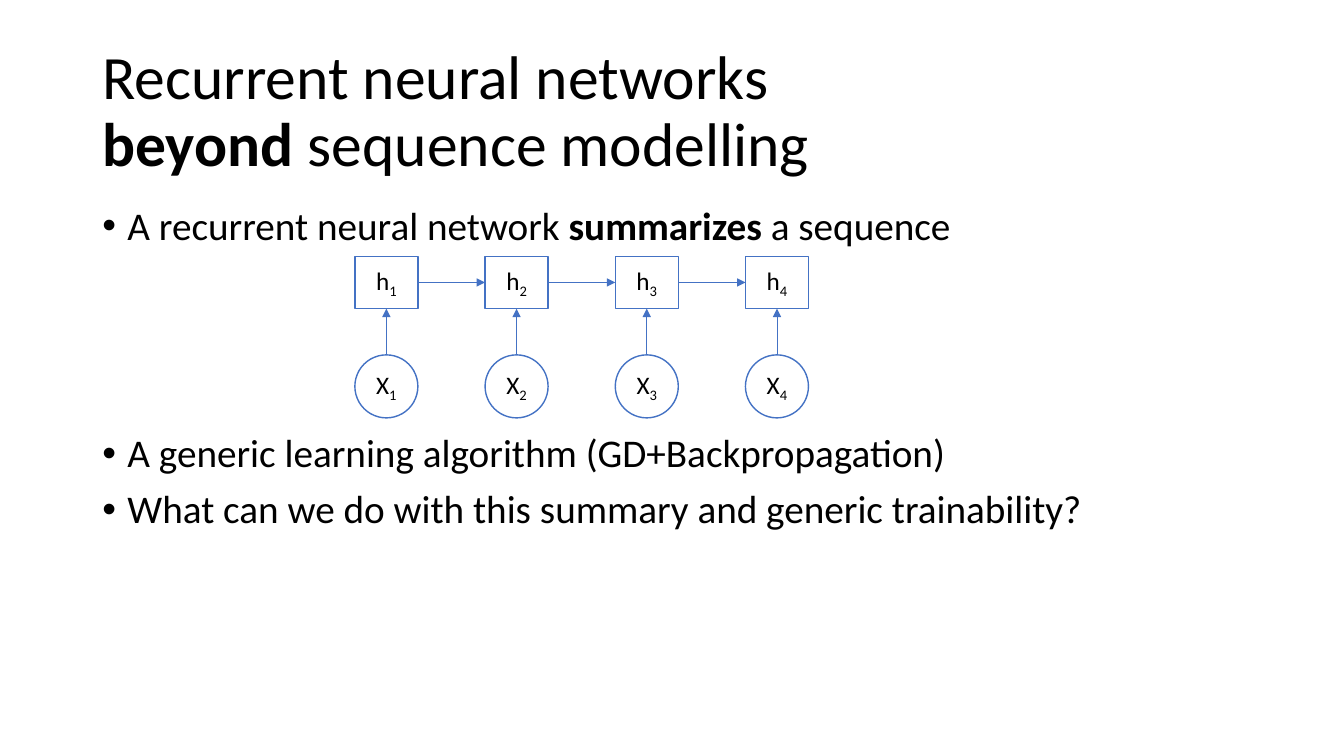
from dataclasses import dataclass

from lxml import etree
from pptx import Presentation
from pptx.dml.color import RGBColor
from pptx.enum.shapes import MSO_CONNECTOR, MSO_SHAPE
from pptx.enum.text import MSO_ANCHOR, MSO_AUTO_SIZE, PP_ALIGN
from pptx.oxml.ns import qn
from pptx.util import Pt

EMU_PER_PX = 9525
FONT = "Calibri"
COLORS = {"text": "000000", "fill": "FFFFFF", "line": "4472C4"}

RECTANGLE, ELLIPSE = MSO_SHAPE.RECTANGLE, MSO_SHAPE.OVAL
STRAIGHT = MSO_CONNECTOR.STRAIGHT
LEFT, CENTER = PP_ALIGN.LEFT, PP_ALIGN.CENTER
TOP, MIDDLE = MSO_ANCHOR.TOP, MSO_ANCHOR.MIDDLE
NO_AUTOFIT = MSO_AUTO_SIZE.NONE

TOP_SITE, LEFT_SITE, BOTTOM_SITE = 0, 1, 2
RIGHT_SITE = 3

STEPS = 4
FIRST_X, STEP_PITCH, NODE_WIDTH = 338, 124, 60


@dataclass(frozen=True)
class NodeRow:
    letter: str
    kind: int
    top: int
    height: int


@dataclass(frozen=True)
class Bullet:
    runs: tuple[tuple[str, bool], ...]
    space_before: int


INPUTS = NodeRow("X", ELLIPSE, 338, 60)
STATES = NodeRow("h", RECTANGLE, 244, 50)

TITLE_LINES = (
    (("Recurrent neural networks ", False),),
    (("beyond", True), (" sequence modelling", False)),
)
BULLETS = (
    Bullet((("A recurrent neural network ", False), ("summarizes", True),
            (" a sequence", False)), 0),
    # The wide gap leaves room for the network diagram.
    Bullet((("A generic learning algorithm (GD+Backpropagation)", False),), 132),
    Bullet((("What can we do with this summary and generic trainability?", False),), 10),
)


def px(value: int) -> int:
    return value * EMU_PER_PX


def color(name: str) -> RGBColor:
    return RGBColor.from_string(COLORS[name])


def place(shape, left: int, top: int, width: int, height: int) -> None:
    shape.left, shape.top = px(left), px(top)
    shape.width, shape.height = px(width), px(height)


def add_run(paragraph, text: str, size: int, bold: bool = False):
    run = paragraph.add_run()
    run.text = text
    run.font.name = FONT
    run.font.size = Pt(size)
    run.font.bold = bold
    run.font.color.rgb = color("text")
    return run


def add_title(slide) -> None:
    title = slide.shapes.title
    place(title, 88, 38, 1104, 139)
    frame = title.text_frame
    frame.auto_size = NO_AUTOFIT
    frame.vertical_anchor = MIDDLE
    paragraph = frame.paragraphs[0]
    paragraph.alignment = LEFT
    paragraph.line_spacing = 0.9
    for index, line in enumerate(TITLE_LINES):
        if index:
            paragraph.add_line_break()
        for text, bold in line:
            add_run(paragraph, text, 44, bold)


def add_bullets(slide) -> None:
    box = slide.shapes.add_textbox(px(88), px(192), px(1104), px(457))
    frame = box.text_frame
    frame.word_wrap = True
    frame.vertical_anchor = TOP
    for index, bullet in enumerate(BULLETS):
        paragraph = frame.add_paragraph() if index else frame.paragraphs[0]
        paragraph.line_spacing = 0.9
        paragraph.space_before = Pt(bullet.space_before)
        properties = paragraph._p.get_or_add_pPr()
        properties.set("marL", str(px(24)))
        properties.set("indent", str(-px(24)))
        etree.SubElement(properties, qn("a:buFont")).set("typeface", "Arial")
        etree.SubElement(properties, qn("a:buChar")).set("char", "•")
        for text, bold in bullet.runs:
            add_run(paragraph, text, 28, bold)


def add_node(slide, row: NodeRow, step: int):
    """Draw the node of one time step, labelled with its subscript."""
    left = FIRST_X + step * STEP_PITCH
    node = slide.shapes.add_shape(row.kind, px(left), px(row.top),
                                  px(NODE_WIDTH), px(row.height))
    node.shadow.inherit = False
    node.fill.solid()
    node.fill.fore_color.rgb = color("fill")
    node.line.color.rgb = color("line")
    node.line.width = Pt(1)
    frame = node.text_frame
    frame.word_wrap = False
    frame.vertical_anchor = MIDDLE
    paragraph = frame.paragraphs[0]
    paragraph.alignment = CENTER
    add_run(paragraph, row.letter, 18)
    subscript = add_run(paragraph, str(step + 1), 18)
    subscript._r.get_or_add_rPr().set("baseline", "-25000")
    return node


def add_arrow(slide, source, source_site: int, target, target_site: int) -> None:
    arrow = slide.shapes.add_connector(STRAIGHT, 0, 0, 0, 0)
    arrow.begin_connect(source, source_site)
    arrow.end_connect(target, target_site)
    arrow.line.color.rgb = color("line")
    arrow.line.width = Pt(0.5)
    etree.SubElement(arrow.line._get_or_add_ln(), qn("a:tailEnd")).set("type", "triangle")
    etree.SubElement(arrow._element.spPr, qn("a:effectLst"))


def add_network(slide) -> None:
    inputs = [add_node(slide, INPUTS, step) for step in range(STEPS)]
    states = [add_node(slide, STATES, step) for step in range(STEPS)]
    for source, state in zip(inputs, states):
        add_arrow(slide, source, TOP_SITE, state, BOTTOM_SITE)
    for state, following in zip(states, states[1:]):
        add_arrow(slide, state, RIGHT_SITE, following, LEFT_SITE)


def main() -> None:
    presentation = Presentation()
    presentation.slide_width, presentation.slide_height = px(1280), px(720)
    title_only = presentation.slide_layouts.get_by_name("Title Only")
    slide = presentation.slides.add_slide(title_only)
    add_title(slide)
    add_bullets(slide)
    add_network(slide)
    presentation.save("out.pptx")


if __name__ == "__main__":
    main()
